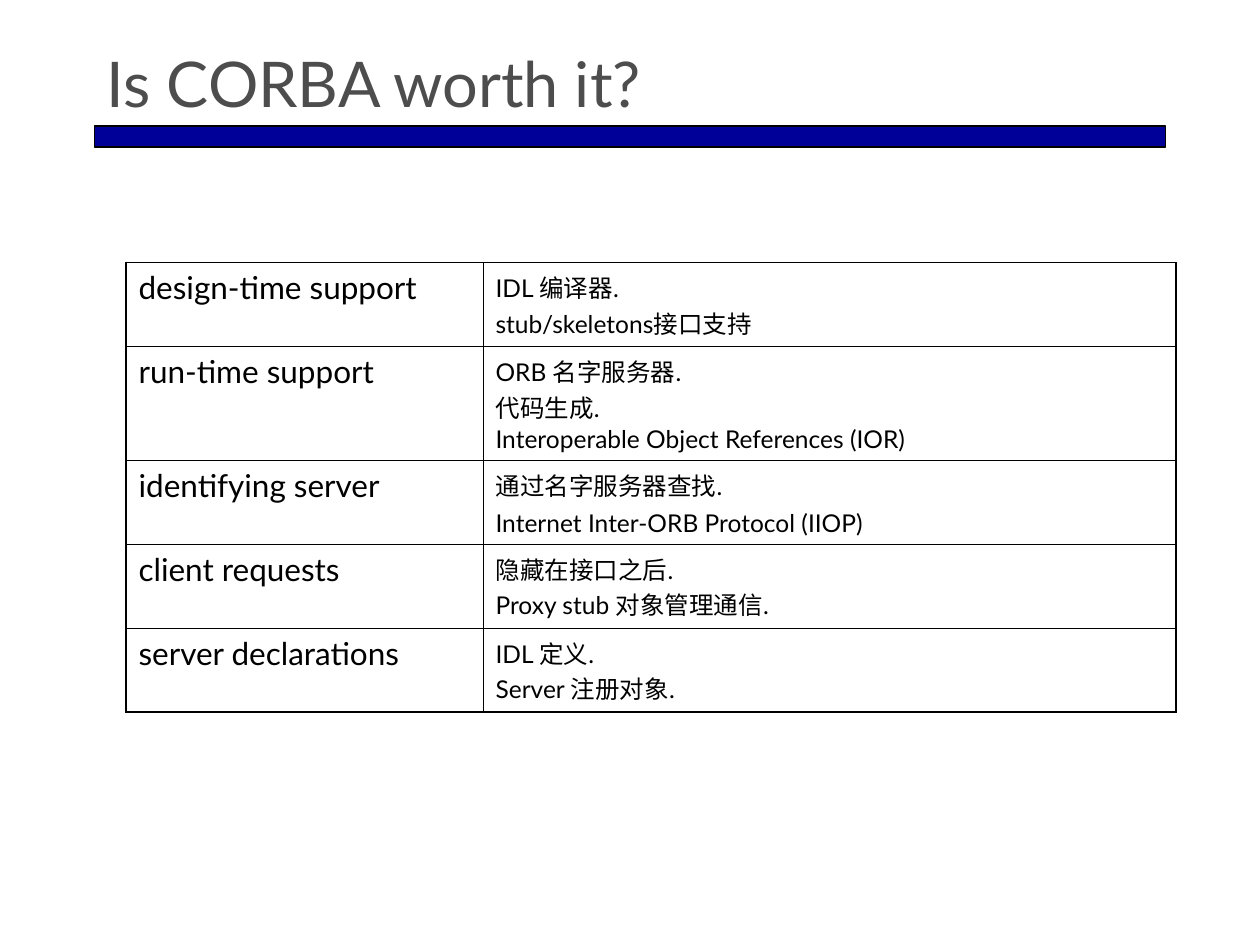
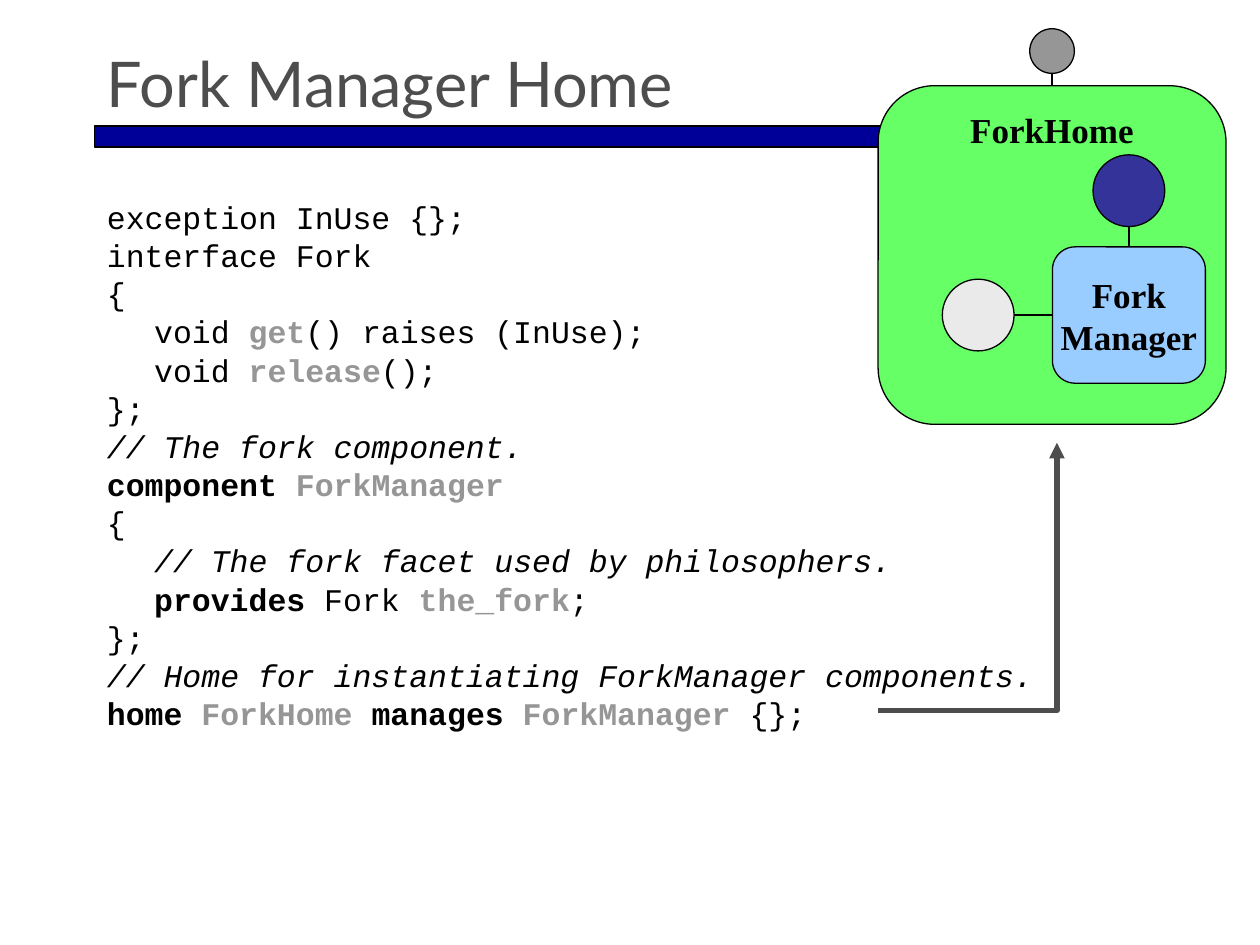
from pptx import Presentation
from pptx.dml.color import RGBColor
from pptx.enum.shapes import MSO_CONNECTOR as Connector, MSO_SHAPE as Shape
from pptx.enum.text import MSO_ANCHOR as Anchor, PP_ALIGN as Align
from pptx.oxml.ns import qn
from pptx.util import Pt
from lxml.etree import SubElement

COLORS = {
    "black": "000000", "title": "4D4D4D", "band": "000099", "name": "969696",
    "home": "66FF66", "manager": "99CCFF", "facet": "333399", "port": "EAEAEA",
}
TITLE_FONT, CODE_FONT, LABEL_FONT = "Lato", "Courier New", "Times New Roman"

SUPPORT_ROWS = [
    ("design-time support", [["IDL 编译器.", "stub/skeletons接口支持"]], 48),
    ("run-time support",
     [["ORB 名字服务器.", "代码生成.", "Interoperable Object References (IOR)"]], 65),
    ("identifying server",
     [["通过名字服务器查找."], ["Internet Inter-ORB Protocol (IIOP)"]], 48),
    ("client requests", [["隐藏在接口之后.", "Proxy stub 对象管理通信."]], 48),
    ("server declarations", [["IDL 定义.", "Server 注册对象."]], 48),
]
SUPPORT_COLUMNS = (204, 396)

PLAIN = {}
KEYWORD = {"bold": True}
NAME = {"bold": True, "color": "name"}
COMMENT = {"italic": True}
CODE_LINES = [
    (0, [("exception InUse {};", PLAIN)]),
    (0, [("interface Fork", PLAIN)]),
    (0, [("{", PLAIN)]),
    (1, [("void ", PLAIN), ("get", NAME), ("() raises (InUse);", PLAIN)]),
    (1, [("void ", PLAIN), ("release", NAME), ("();", PLAIN)]),
    (0, [("};", PLAIN)]),
    (0, [("// The fork component.", COMMENT)]),
    (0, [("component ", KEYWORD), ("ForkManager", NAME)]),
    (0, [("{", PLAIN)]),
    (1, [("// The fork facet used by philosophers.", COMMENT)]),
    (1, [("provides", KEYWORD), (" Fork ", PLAIN), ("the_fork", NAME), (";", PLAIN)]),
    (0, [("};", PLAIN)]),
    (0, [("// Home for instantiating ForkManager components.", COMMENT)]),
    (0, [("home ", KEYWORD), ("ForkHome ", NAME), ("manages ", KEYWORD),
         ("ForkManager", NAME), (" {};", PLAIN)]),
]
CODE_INDENT = 27

HOME = (501.8, 49, 198.8, 193.5)
MANAGER = (601.4, 141.1, 87.4, 77.9)
PORTS = {"home": 25.5, "manager": 41}
ARROW = [(501.8, 406.1), (604, 406.1), (604, 252.7)]


def rgb(name):
    return RGBColor.from_string(COLORS[name])


def add_span(para, text, size, font, color="black", bold=False, italic=False):
    span = para.add_run()
    span.text = text
    style = span.font
    style.size, style.name = Pt(size), font
    style.bold, style.italic = bold, italic
    style.color.rgb = rgb(color)


def next_para(frame, index):
    return frame.add_paragraph() if index else frame.paragraphs[0]


def add_box(page, left, top, width, height):
    box = page.shapes.add_textbox(Pt(left), Pt(top), Pt(width), Pt(height))
    box.text_frame.word_wrap = True
    return box.text_frame


def add_figure(page, kind, bounds, fill):
    figure = page.shapes.add_shape(kind, *map(Pt, bounds))
    figure.shadow.inherit = False
    figure.fill.solid()
    figure.fill.fore_color.rgb = rgb(fill)
    figure.line.color.rgb = rgb("black")
    figure.line.width = Pt(0.75)
    return figure


def add_page(deck, title, title_width):
    page = deck.slides.add_slide(deck.slide_layouts[6])
    add_figure(page, Shape.RECTANGLE, (54, 72, 612, 12), "band")
    frame = add_box(page, 54, 24, title_width, 48)
    frame.vertical_anchor = Anchor.BOTTOM
    add_span(frame.paragraphs[0], title, 36, TITLE_FONT, "title")
    return page


def set_borders(cell, widths):
    properties = cell._tc.get_or_add_tcPr()
    for side, width in widths.items():
        border = SubElement(properties, qn(f"a:ln{side}"), w=str(Pt(width)))
        fill = SubElement(border, qn("a:solidFill"))
        SubElement(fill, qn("a:srgbClr"), val=COLORS["black"])
    SubElement(properties, qn("a:noFill"))


def fill_cell(cell, paragraphs, size, space):
    for index, lines in enumerate(paragraphs):
        para = next_para(cell.text_frame, index)
        para.space_before = Pt(space)
        for number, line in enumerate(lines):
            if number:
                para.add_line_break()
            add_span(para, line, size, TITLE_FONT)


def add_support_table(page):
    last_row, last_column = len(SUPPORT_ROWS) - 1, len(SUPPORT_COLUMNS) - 1
    height = sum(row[2] for row in SUPPORT_ROWS)
    table = page.shapes.add_table(
        last_row + 1, last_column + 1, Pt(72), Pt(150),
        Pt(sum(SUPPORT_COLUMNS)), Pt(height)).table
    table.first_row = table.horz_banding = False
    for column, width in zip(table.columns, SUPPORT_COLUMNS):
        column.width = Pt(width)
    for row, (topic, details, row_height) in enumerate(SUPPORT_ROWS):
        table.rows[row].height = Pt(row_height)
        fill_cell(table.cell(row, 0), [[topic]], 18, 4.5)
        fill_cell(table.cell(row, 1), details, 14, 3.5)
        for column in range(last_column + 1):
            outer = {"L": column == 0, "R": column == last_column,
                     "T": row == 0, "B": row == last_row}
            set_borders(table.cell(row, column),
                        {side: 1.08 if edge else 0.45 for side, edge in outer.items()})


def add_code(page):
    frame = add_box(page, 54, 113.8, 612, 366)
    for index, (level, spans) in enumerate(CODE_LINES):
        para = next_para(frame, index)
        para.line_spacing, para.space_before = 0.8, Pt(4.5)
        para._p.get_or_add_pPr().set("marL", str(Pt(level * CODE_INDENT)))
        for text, style in spans:
            add_span(para, text, 18, CODE_FONT, **style)


def add_component(page, bounds, fill, lines, anchor):
    component = add_figure(page, Shape.ROUNDED_RECTANGLE, bounds, fill)
    component.adjustments[0] = 0.167
    frame = component.text_frame
    frame.word_wrap = False
    frame.vertical_anchor = anchor
    for index, line in enumerate(lines):
        para = next_para(frame, index)
        para.alignment = Align.CENTER
        add_span(para, line, 20, LABEL_FONT, bold=True)
    return component


def add_port(page, component, side, center, size, fill):
    x, y = center
    start = (x, y - size / 4) if side == 0 else (x + size / 3, y)
    link = page.shapes.add_connector(
        Connector.STRAIGHT, *map(Pt, start), *map(Pt, start))
    link.end_connect(component, side)
    link.line.color.rgb = rgb("black")
    link.line.width = Pt(0.75)
    SubElement(link._element.spPr, qn("a:effectLst"))
    add_figure(page, Shape.OVAL, (x - size / 2, y - size / 2, size, size), fill)


def add_arrow(page):
    builder = page.shapes.build_freeform(*ARROW[0], scale=Pt(1))
    builder.add_line_segments(ARROW[1:], close=False)
    arrow = builder.convert_to_shape()
    arrow.shadow.inherit = False
    arrow.fill.background()
    arrow.line.color.rgb = rgb("title")
    arrow.line.width = Pt(3)
    SubElement(arrow.line._get_or_add_ln(), qn("a:tailEnd"), type="triangle")


def add_fork_diagram(page):
    home = add_component(page, HOME, "home", ["ForkHome"], Anchor.TOP)
    add_arrow(page)
    manager = add_component(page, MANAGER, "manager", ["Fork", "Manager"], Anchor.MIDDLE)
    left, top, width, height = MANAGER
    add_port(page, manager, 1, (559, top + height / 2), PORTS["manager"], "port")
    add_port(page, manager, 0, (left + width / 2, 109), PORTS["manager"], "facet")
    add_port(page, home, 0, (HOME[0] + HOME[2] / 2, 29.2), PORTS["home"], "name")


def main():
    deck = Presentation()
    deck.slide_width, deck.slide_height = Pt(720), Pt(540)
    add_support_table(add_page(deck, "Is CORBA worth it?", 612))
    page = add_page(deck, "Fork Manager Home", 425)
    add_code(page)
    add_fork_diagram(page)
    deck.save("out.pptx")


if __name__ == "__main__":
    main()
